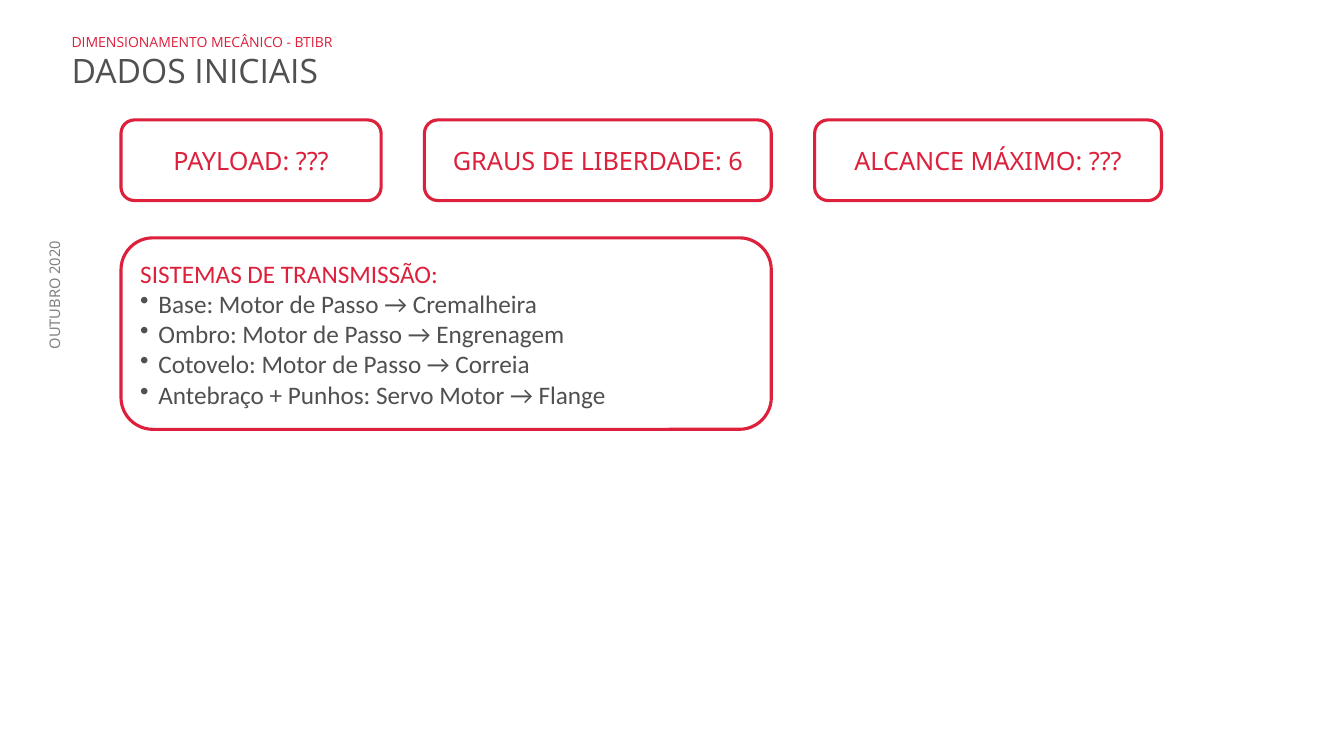
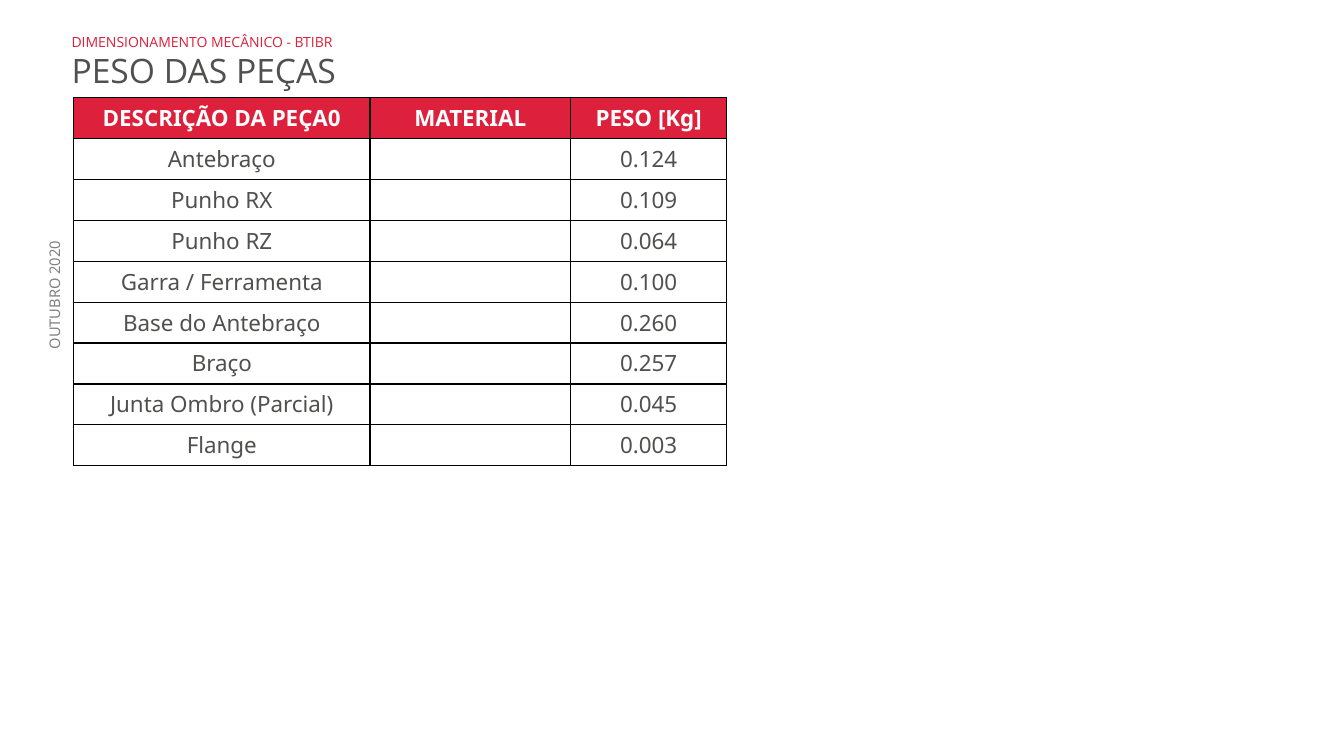
from lxml import etree
from pptx import Presentation
from pptx.dml.color import RGBColor
from pptx.enum.shapes import MSO_SHAPE
from pptx.enum.text import MSO_ANCHOR, PP_ALIGN
from pptx.oxml.ns import qn
from pptx.util import Inches, Pt

ROUNDED = MSO_SHAPE.ROUNDED_RECTANGLE
TOP, MIDDLE = MSO_ANCHOR.TOP, MSO_ANCHOR.MIDDLE
LEFT, CENTER, RIGHT = PP_ALIGN.LEFT, PP_ALIGN.CENTER, PP_ALIGN.RIGHT

RED = RGBColor(0xDD, 0x20, 0x3C)
DARK = RGBColor(0x50, 0x50, 0x4F)
GRAY = RGBColor(0x80, 0x80, 0x80)
WHITE = RGBColor(0xFF, 0xFF, 0xFF)
BLACK = RGBColor(0, 0, 0)

SECTION = {"name": "Open Sans", "size": Pt(10), "color": RED}
TITLE = {"name": "Open Sans", "size": Pt(24), "color": DARK}
DATE = {"name": "Noto Sans", "size": Pt(10.5), "color": GRAY}
CARD = {"name": "Noto Sans", "size": Pt(18), "color": RED}
LIST_HEAD = {"name": "Calibri", "size": Pt(18), "color": RED}
LIST_ITEM = {**LIST_HEAD, "color": DARK}
CELL = {"name": "Noto Sans", "size": Pt(16), "color": DARK, "bold": False}
HEADER = {**CELL, "color": WHITE, "bold": True}

# Horizontal grid of the cards: one column is also the gap between them
GRID_LEFT, COLUMN = 1.2, 0.43
CARD_TOP, CARD_HEIGHT = 1.19, 0.8
PANEL_TOP, PANEL_HEIGHT = 2.36, 1.9
TABLE_LEFT, TABLE_TOP, TABLE_HEIGHT = 0.73, 0.97, 3.65
TABLE_COLUMNS = (2.94, 1.99, 1.55)

CARDS = (("PAYLOAD: ???", 6), ("GRAUS DE LIBERDADE: 6", 8), ("ALCANCE MÁXIMO: ???", 8))
TRANSMISSIONS = (
    "Base: Motor de Passo → Cremalheira",
    "Ombro: Motor de Passo → Engrenagem",
    "Cotovelo: Motor de Passo → Correia",
    "Antebraço + Punhos: Servo Motor → Flange",
)
TABLE_HEAD = ("DESCRIÇÃO DA PEÇA0", "MATERIAL", "PESO [Kg]")
PARTS = (
    ("Antebraço", "0.124"),
    ("Punho RX", "0.109"),
    ("Punho RZ", "0.064"),
    ("Garra / Ferramenta", "0.100"),
    ("Base do Antebraço", "0.260"),
    ("Braço", "0.257"),
    ("Junta Ombro (Parcial)", "0.045"),
    ("Flange", "0.003"),
)


def write(para, text, style, align=LEFT):
    para.alignment = align
    span = para.add_run()
    span.text = text
    for key, value in style.items():
        if key == "color":
            span.font.color.rgb = value
        else:
            setattr(span.font, key, value)


def place(shape, left, top, width, height):
    shape.left, shape.top = Inches(left), Inches(top)
    shape.width, shape.height = Inches(width), Inches(height)


def add_date(page, layout):
    """Put the vertical date on the layout, so that every slide shows it."""
    box = page.shapes.add_textbox(0, 0, 0, 0)
    place(box, -0.2, 2.92, 1.5, 0.25)
    box.rotation = 270
    box.text_frame.word_wrap = True
    box.text_frame.vertical_anchor = MIDDLE
    para = box.text_frame.paragraphs[0]
    para.line_spacing = 0.9
    write(para, "OUTUBRO 2020", DATE, RIGHT)
    box.element.nvSpPr.cNvPr.set("id", "20")
    layout.shapes.element.append(box.element)


def add_page(deck, layout, title):
    page = deck.slides.add_slide(layout)
    place(page.shapes.title, 0.61, 0.28, 8.8, 0.69)
    frame = page.shapes.title.text_frame
    frame.vertical_anchor = TOP
    write(frame.paragraphs[0], "DIMENSIONAMENTO MECÂNICO - BTIBR", SECTION)
    write(frame.add_paragraph(), title, TITLE)
    return page


def add_card(page, column, top, columns, height):
    """Add a rounded red outline on the grid and return its text frame."""
    card = page.shapes.add_shape(ROUNDED, 0, 0, 0, 0)
    place(card, GRID_LEFT + column * COLUMN, top, columns * COLUMN, height)
    card.shadow.inherit = False
    card.fill.solid()
    card.fill.fore_color.rgb = WHITE
    card.line.color.rgb = RED
    card.line.width = Pt(2.25)
    card.text_frame.word_wrap = True
    card.text_frame.vertical_anchor = MIDDLE
    return card.text_frame


def add_bullet(para):
    props = para._p.get_or_add_pPr()
    indent = Inches(0.18)
    props.set("marL", str(indent))
    props.set("indent", str(-indent))
    etree.SubElement(props, qn("a:buChar")).set("char", "•")


def add_borders(cell):
    props = cell._tc.get_or_add_tcPr()
    for side in ("a:lnL", "a:lnR", "a:lnT", "a:lnB"):
        line = etree.SubElement(props, qn(side), w=str(Pt(1)))
        fill = etree.SubElement(line, qn("a:solidFill"))
        etree.SubElement(fill, qn("a:srgbClr"), val=str(BLACK))


def fill_cell(cell, text, style, back, anchor):
    add_borders(cell)
    cell.fill.solid()
    cell.fill.fore_color.rgb = back
    cell.vertical_anchor = anchor
    if text:
        write(cell.text_frame.paragraphs[0], text, style, CENTER)


def add_parts_table(page):
    rows = [TABLE_HEAD] + [(part, "", weight) for part, weight in PARTS]
    frame = page.shapes.add_table(
        len(rows), len(TABLE_COLUMNS), Inches(TABLE_LEFT), Inches(TABLE_TOP),
        Inches(sum(TABLE_COLUMNS)), Inches(TABLE_HEIGHT))
    table = frame.table
    table.horz_banding = False
    for column, width in zip(table.columns, TABLE_COLUMNS):
        column.width = Inches(width)
    for i, texts in enumerate(rows):
        look = (CELL, WHITE, TOP) if i else (HEADER, RED, MIDDLE)
        for j, text in enumerate(texts):
            fill_cell(table.cell(i, j), text, *look)


def add_initial_data(page):
    column = 0
    for text, columns in CARDS:
        frame = add_card(page, column, CARD_TOP, columns, CARD_HEIGHT)
        write(frame.paragraphs[0], text, CARD, CENTER)
        column += columns + 1
    panel_columns = CARDS[0][1] + 1 + CARDS[1][1]
    frame = add_card(page, 0, PANEL_TOP, panel_columns, PANEL_HEIGHT)
    write(frame.paragraphs[0], "SISTEMAS DE TRANSMISSÃO:", LIST_HEAD)
    for text in TRANSMISSIONS:
        para = frame.add_paragraph()
        write(para, text, LIST_ITEM)
        add_bullet(para)


def main():
    deck = Presentation()
    deck.slide_width, deck.slide_height = Inches(13.33), Inches(7.5)
    layout = deck.slide_layouts.get_by_name("Title Only")
    data_page = add_page(deck, layout, "DADOS INICIAIS")
    add_date(data_page, layout)
    add_initial_data(data_page)
    add_parts_table(add_page(deck, layout, "PESO DAS PEÇAS"))
    deck.save("out.pptx")


if __name__ == "__main__":
    main()
